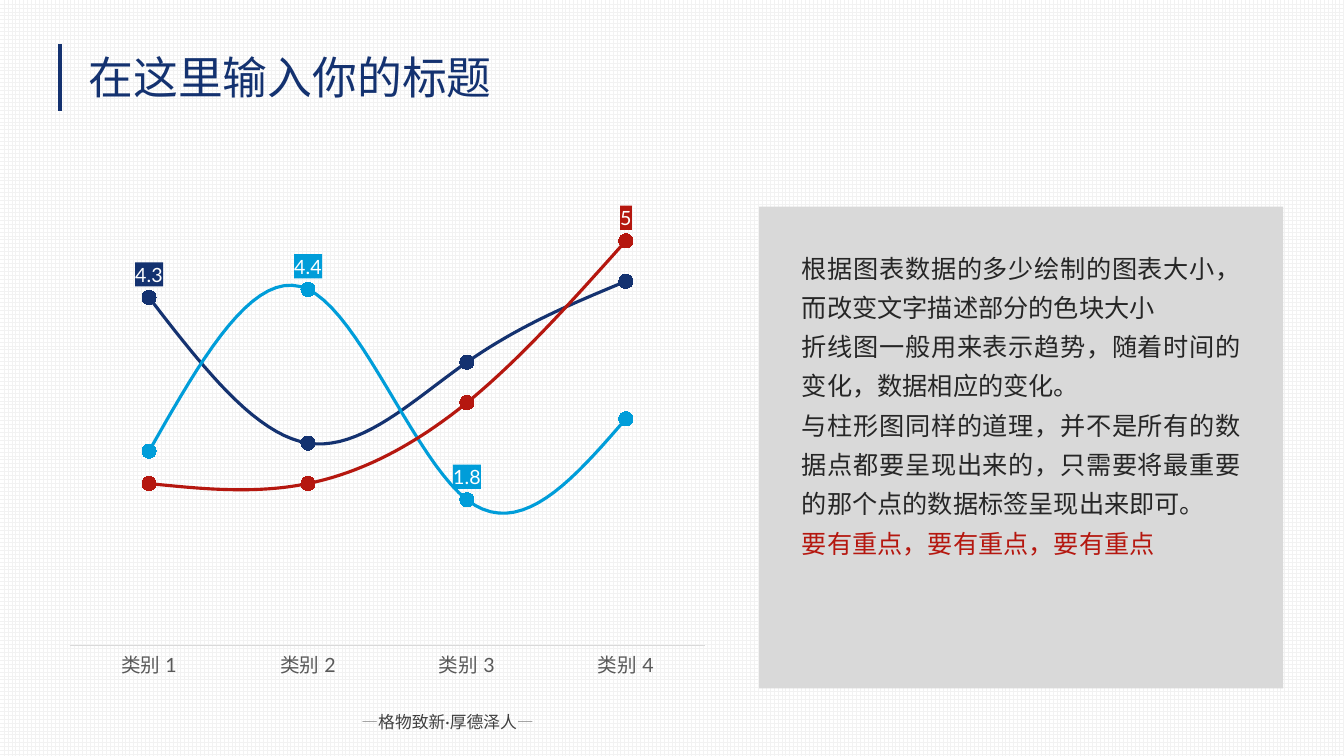
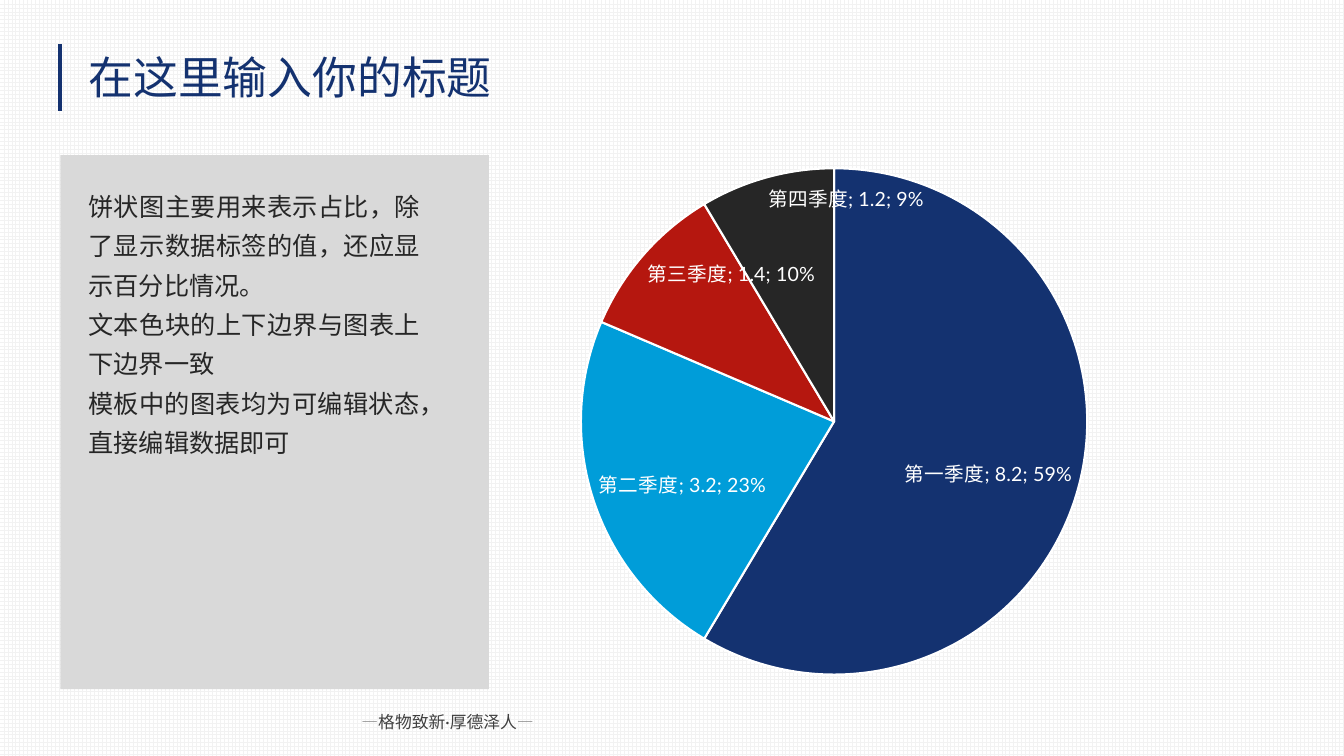
from dataclasses import dataclass

from lxml import etree
from pptx import Presentation
from pptx.chart.data import CategoryChartData
from pptx.dml.color import RGBColor
from pptx.enum.chart import XL_CHART_TYPE as ChartType
from pptx.enum.chart import XL_LABEL_POSITION as LabelPosition
from pptx.enum.chart import XL_MARKER_STYLE as MarkerStyle
from pptx.enum.chart import XL_TICK_MARK as TickMark
from pptx.enum.dml import MSO_PATTERN as Pattern
from pptx.enum.shapes import MSO_CONNECTOR as Connector
from pptx.enum.shapes import MSO_SHAPE as Shape
from pptx.enum.text import MSO_AUTO_SIZE as AutoSize
from pptx.enum.text import PP_ALIGN as Align
from pptx.oxml import parse_xml
from pptx.oxml.ns import nsdecls, qn
from pptx.util import Cm, Pt


@dataclass(frozen=True)
class Theme:
    navy: str = "143270"
    blue: str = "009DD9"
    red: str = "B5170F"
    ink: str = "262626"
    motto: str = "404040"
    axis_text: str = "595959"
    dash: str = "808080"
    rule: str = "D9D9D9"
    panel: str = "D9D9D9"
    grid: str = "F2F2F2"
    white: str = "FFFFFF"
    black: str = "000000"
    title_font: str = "Cabin"
    body_font: str = "Lato"
    title_size: int = 32
    body_size: int = 18
    chart_size: int = 14
    footer_size: int = 12


THEME = Theme()

# Content; boxes are left, top, width, height in cm
TITLE = "在这里输入你的标题"
FOOTER = [("—", THEME.dash), ("格物致新·厚德泽人", THEME.motto), ("—", THEME.dash)]

TREND = {
    "box": (1.42, 3.76, 16.69, 13.59),
    "categories": ["类别 1", "类别 2", "类别 3", "类别 4"],
    # name, values, colour, positions of the labelled points
    "series": [
        ("Series 1", (4.3, 2.5, 3.5, 4.5), THEME.navy, (0,)),
        ("Series 2", (2.4, 4.4, 1.8, 2.8), THEME.blue, (1, 2)),
        ("Series 3", (2, 2, 3, 5), THEME.red, (3,)),
    ],
}
TREND_NOTES = {
    "panel": (19.13, 5.21, 13.21, 12.14),
    "box": (19.96, 6.02, 11.56, 8.18),
    "paragraphs": [
        [("根据图表数据的多少绘制的图表大小，而改变文字描述部分的色块大小", THEME.ink)],
        [("折线图一般用来表示趋势，随着时间的变化，数据相应的变化。", THEME.ink)],
        [("与柱形图同样的道理，并不是所有的数据点都要呈现出来的，"
          "只需要将最重要的那个点的数据标签呈现出来即可。", THEME.ink)],
        [("要有重点，要有重点，要有重点", THEME.red)],
    ],
}
SHARE = {
    "box": (11.28, 3.89, 19.48, 13.46),
    "categories": ["第一季度", "第二季度", "第三季度", "第四季度"],
    "values": (8.2, 3.2, 1.4, 1.2),
    "colors": (THEME.navy, THEME.blue, THEME.red, THEME.ink),
}
SHARE_NOTES = {
    "panel": (1.52, 3.91, 10.8, 13.46),
    "box": (1.98, 4.47, 8.86, 7.16),
    "paragraphs": [
        [("饼状图主要用来表示占比，除了显示数据标签的值，还应显示百分比情况。", THEME.ink)],
        [("文本色块的上下边界与图表上下边界一致", THEME.ink)],
        [("模板中的图表均为可编辑状态，直接编辑数据即可", THEME.ink)],
    ],
}


# Shared helpers
def rgb(color):
    return RGBColor.from_string(color)


def lengths(box):
    return [Cm(value) for value in box]


def set_font(font, size, color, name=THEME.body_font):
    font.name = name
    font.size = Pt(size)
    font.color.rgb = rgb(color)


def set_line(line, color, width):
    line.color.rgb = rgb(color)
    line.width = Pt(width)


def add_text(slide, box, paragraphs, size, font=THEME.body_font, align=None, spacing=None):
    """Each paragraph is a list of (text, colour) runs."""
    frame = slide.shapes.add_textbox(*lengths(box)).text_frame
    frame.word_wrap = True
    frame.auto_size = AutoSize.SHAPE_TO_FIT_TEXT
    for index, runs in enumerate(paragraphs):
        paragraph = frame.add_paragraph() if index else frame.paragraphs[0]
        paragraph.alignment = align
        paragraph.line_spacing = spacing
        for text, color in runs:
            run = paragraph.add_run()
            run.text = text
            set_font(run.font, size, color, font)


def add_content_slide(deck):
    slide = deck.slides.add_slide(deck.slide_layouts[6])
    add_text(slide, (8.86, 17.81, 16.15, 0.76), [FOOTER], THEME.footer_size,
             align=Align.JUSTIFY)
    bar = slide.shapes.add_connector(Connector.STRAIGHT, Cm(1.52), Cm(1.12), Cm(1.52), Cm(2.79))
    set_line(bar.line, THEME.navy, 3)
    etree.SubElement(bar._element.spPr, qn("a:effectLst"))
    add_text(slide, (1.98, 1.14, 10.8, 1.63), [[(TITLE, THEME.navy)]], THEME.title_size,
             font=THEME.title_font)
    return slide


def add_notes_panel(slide, notes):
    panel = slide.shapes.add_shape(Shape.RECTANGLE, *lengths(notes["panel"]))
    panel.shadow.inherit = False
    panel.fill.solid()
    panel.fill.fore_color.rgb = rgb(THEME.panel)
    panel.line.fill.background()
    add_text(slide, notes["box"], notes["paragraphs"], THEME.body_size,
             align=Align.JUSTIFY, spacing=1.3)


def add_plain_chart(slide, kind, box, categories, series):
    data = CategoryChartData()
    data.categories = categories
    for name, values in series:
        data.add_series(name, values)
    chart = slide.shapes.add_chart(kind, *lengths(box), data).chart
    chart.has_title = False
    chart.has_legend = False
    set_font(chart.font, THEME.chart_size, THEME.black)
    return chart


# Line chart with a few highlighted points
def highlight_point(series, index, color):
    label = series.points[index].data_label
    set_font(label.font, THEME.chart_size, THEME.white)
    label.position = LabelPosition.ABOVE
    text_format = series._element.xpath(f"c:dLbls/c:dLbl[c:idx/@val='{index}']/c:txPr")[0]
    text_format.addprevious(parse_xml(
        f'<c:spPr {nsdecls("c", "a")}><a:solidFill><a:srgbClr val="{color}"/>'
        "</a:solidFill></c:spPr>"))


def add_trend_chart(slide):
    chart = add_plain_chart(slide, ChartType.LINE_MARKERS, TREND["box"], TREND["categories"],
                            [row[:2] for row in TREND["series"]])
    chart.plots[0].vary_by_categories = False
    values = chart.value_axis
    values.visible = False
    values.has_major_gridlines = False
    values.minimum_scale, values.maximum_scale = 0, 6
    categories = chart.category_axis
    categories.major_tick_mark = TickMark.NONE
    set_font(categories.tick_labels.font, THEME.chart_size, THEME.axis_text)
    set_line(categories.format.line, THEME.rule, 0.75)

    for series, (_, _, color, highlights) in zip(chart.plots[0].series, TREND["series"]):
        series.smooth = True
        set_line(series.format.line, color, 2.25)
        marker = series.marker
        marker.style = MarkerStyle.CIRCLE
        marker.size = 10
        marker.format.fill.solid()
        marker.format.fill.fore_color.rgb = rgb(color)
        marker.format.line.color.rgb = rgb(THEME.white)
        series.data_labels.show_value = False
        for index in highlights:
            highlight_point(series, index, color)


# Pie chart of shares
def add_share_chart(slide):
    chart = add_plain_chart(slide, ChartType.PIE, SHARE["box"], SHARE["categories"],
                            [("Series 1", SHARE["values"])])
    chart.plots[0].vary_by_categories = True
    series = chart.plots[0].series[0]
    for index, color in enumerate(SHARE["colors"]):
        slice_format = series.points[index].format
        slice_format.fill.solid()
        slice_format.fill.fore_color.rgb = rgb(color)
        set_line(slice_format.line, THEME.white, 1.5)
    labels = series.data_labels
    set_font(labels.font, THEME.chart_size, THEME.white)
    labels.show_category_name = True
    labels.show_value = True
    labels.show_percentage = True
    labels.position = LabelPosition.INSIDE_END


def main():
    deck = Presentation()
    deck.slide_width, deck.slide_height = Cm(33.87), Cm(19.05)
    backdrop = deck.slide_master.background.fill
    backdrop.patterned()
    backdrop.pattern = Pattern.LARGE_GRID
    backdrop.fore_color.rgb = rgb(THEME.grid)
    backdrop.back_color.rgb = rgb(THEME.white)

    for add_chart, notes in ((add_trend_chart, TREND_NOTES), (add_share_chart, SHARE_NOTES)):
        slide = add_content_slide(deck)
        add_chart(slide)
        add_notes_panel(slide, notes)
    deck.save("out.pptx")


if __name__ == "__main__":
    main()
